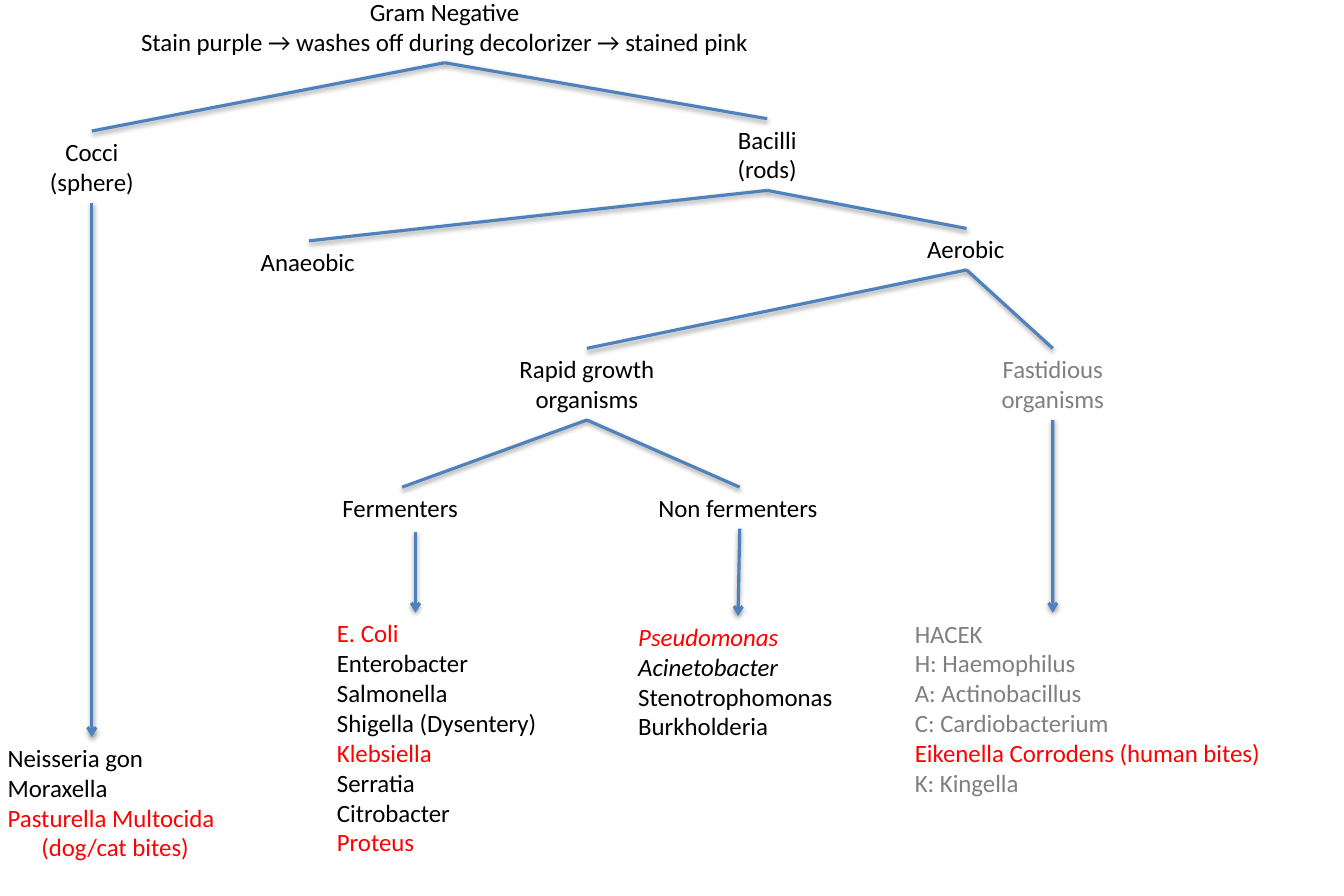
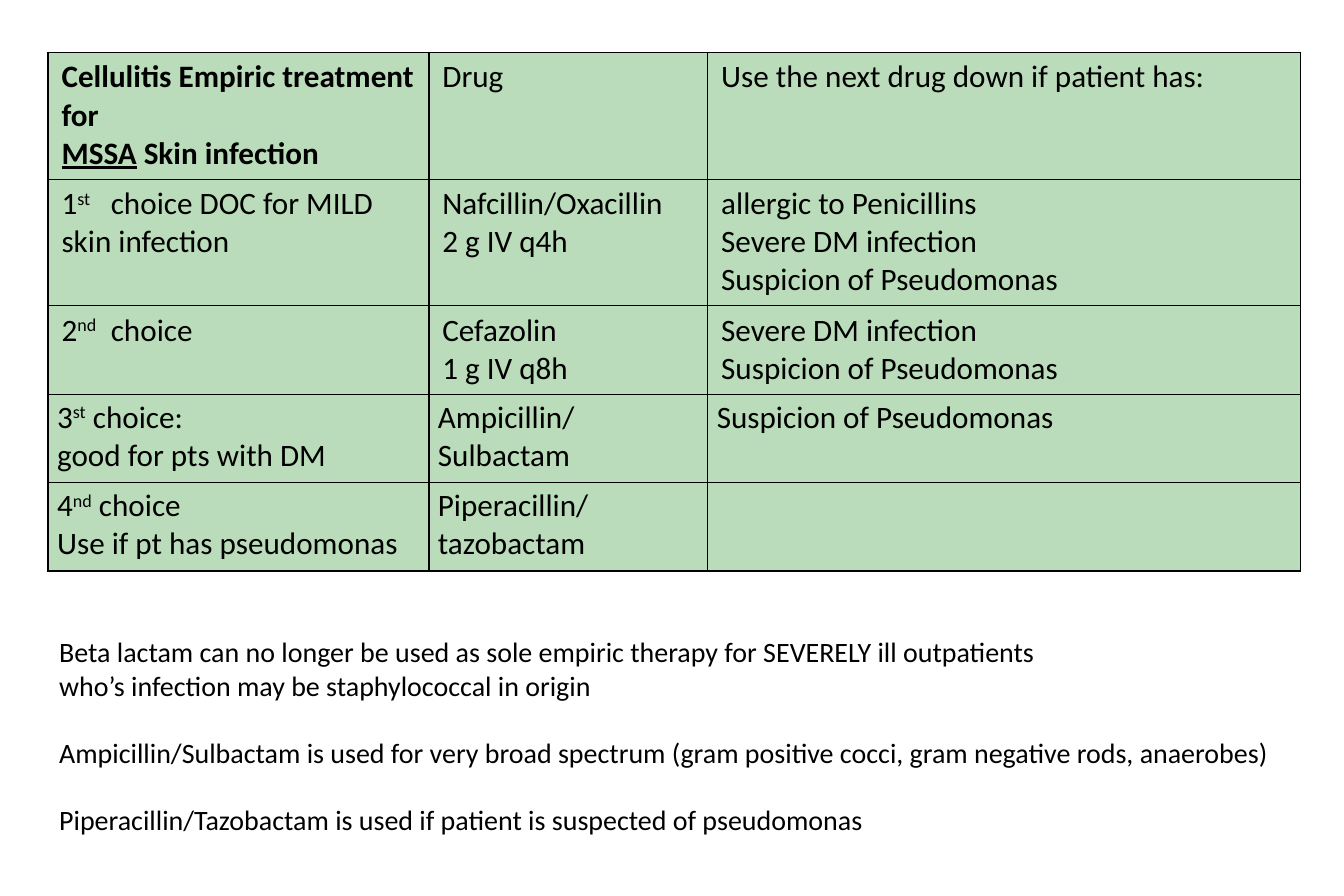
from dataclasses import dataclass

from lxml import etree
from pptx import Presentation
from pptx.dml.color import RGBColor
from pptx.enum import shapes, text
from pptx.oxml import ns
from pptx.util import Inches, Pt


@dataclass(frozen=True)
class Theme:
    font: str = "Calibri"
    ink: str = "000000"
    muted: str = "808080"
    alert: str = "FF0000"
    line: str = "4F81BD"
    cell: str = "008000"
    cell_alpha: int = 27000
    tree_size: int = 16
    table_size: int = 20
    note_size: int = 18


theme = Theme()


def add_xml(parent, tag, index=None, **attributes):
    element = etree.Element(ns.qn(tag), attributes)
    parent.insert(len(parent) if index is None else index, element)
    return element


def style(span, size, color=theme.ink):
    span.font.name = theme.font
    span.font.size = Pt(size)
    span.font.color.rgb = RGBColor.from_string(color)


deck = Presentation()
deck.slide_width, deck.slide_height = Inches(12), Inches(8)
blank = deck.slide_layouts[6]

page = deck.slides.add_slide(blank)
center, left = text.PP_ALIGN.CENTER, text.PP_ALIGN.LEFT
nodes = {
    "gram": (1.1, -0.08, 5.74, center, theme.ink,
             ["Gram Negative", "Stain purple → washes off during decolorizer → stained pink"]),
    "cocci": (0.34, 1.17, 0.96, center, theme.ink, ["Cocci", "(sphere)"]),
    "cocci list": (-0.03, 6.58, 2.08, left, theme.ink,
                   ["Neisseria gon", "Moraxella", "Pasturella Multocida", "(dog/cat bites)"]),
    "bacilli": (6.48, 1.06, 0.74, center, theme.ink, ["Bacilli", "(rods)"]),
    "anaerobic": (2.23, 2.15, 1.06, left, theme.ink, ["Anaeobic"]),
    "aerobic": (8.18, 2.04, 0.9, left, theme.ink, ["Aerobic"]),
    "fastidious": (8.83, 3.11, 1.14, center, theme.muted, ["Fastidious", "organisms"]),
    "fastidious list": (8.07, 5.47, 3.34, left, theme.muted,
                        ["HACEK", "H: Haemophilus", "A: Actinobacillus", "C: Cardiobacterium",
                         "Eikenella Corrodens (human bites)", "K: Kingella"]),
    "rapid": (4.53, 3.11, 1.42, center, theme.ink, ["Rapid growth", "organisms"]),
    "fermenters": (2.96, 4.35, 1.26, left, theme.ink, ["Fermenters"]),
    "non fermenters": (5.78, 4.35, 1.65, left, theme.ink, ["Non fermenters"]),
    "fermenter list": (2.91, 5.47, 2.01, left, theme.ink,
                       ["E. Coli", "Enterobacter", "Salmonella", "Shigella (Dysentery)",
                        "Klebsiella", "Serratia", "Citrobacter", "Proteus"]),
    "non fermenter list": (5.6, 5.5, 1.98, left, theme.ink,
                           ["Pseudomonas", "Acinetobacter", "Stenotrophomonas", "Burkholderia"]),
}
alerts = {"Pasturella Multocida", "(dog/cat bites)", "Eikenella Corrodens (human bites)",
          "E. Coli", "Klebsiella", "Proteus", "Pseudomonas"}
italics = {"Pseudomonas", "Acinetobacter"}
indents = {"(dog/cat bites)": "274320"}

boxes = {}
for name, (x, y, width, align, color, lines) in nodes.items():
    height = 0.1 + 0.27 * len(lines)
    box = page.shapes.add_textbox(Inches(x), Inches(y), Inches(width), Inches(height))
    box.text_frame.text = "\n".join(lines)
    box.text_frame.word_wrap = False
    box.text_frame.auto_size = text.MSO_AUTO_SIZE.SHAPE_TO_FIT_TEXT
    for para, line in zip(box.text_frame.paragraphs, lines):
        para.alignment = align
        if line in indents:
            para._p.get_or_add_pPr().set("marL", indents[line])
        span = para.runs[0]
        style(span, theme.tree_size, theme.alert if line in alerts else color)
        span.font.italic = line in italics
    boxes[name] = box

branches = [
    ("gram", "cocci", None, False),
    ("gram", "bacilli", None, False),
    ("cocci", None, (0.82, 1.81, 0.82, 6.58), True),
    ("bacilli", "anaerobic", None, False),
    ("bacilli", "aerobic", None, False),
    ("aerobic", "rapid", None, False),
    ("aerobic", "fastidious", None, False),
    ("fastidious", None, (9.4, 3.75, 9.4, 5.47), True),
    ("rapid", "fermenters", None, False),
    ("rapid", "non fermenters", None, False),
    (None, None, (3.71, 4.75, 3.71, 5.47), True),
    ("non fermenters", "non fermenter list", None, True),
]
for parent, child, ends, arrow in branches:
    branch = page.shapes.add_connector(
        shapes.MSO_CONNECTOR.STRAIGHT, *[Inches(value) for value in ends or (0, 0, 1, 1)])
    if parent:
        branch.begin_connect(boxes[parent], 2)
    if child:
        branch.end_connect(boxes[child], 0)
    branch.line.color.rgb = RGBColor.from_string(theme.line)
    branch.line.width = Pt(2)
    if arrow:
        add_xml(branch.line._get_or_add_ln(), "a:tailEnd", type="arrow")
    effects = add_xml(branch._element.spPr, "a:effectLst")
    shadow = add_xml(effects, "a:outerShdw", blurRad="40000", dist="20000",
                     dir="5400000", rotWithShape="0")
    shade = add_xml(shadow, "a:srgbClr", val=theme.ink)
    add_xml(shade, "a:alpha", val="38000")

page = deck.slides.add_slide(blank)
columns = [3.4, 2.49, 5.29]
heights = [1.13, 1.13, 0.79, 0.79, 0.79]
treatments = [
    ([[("Cellulitis Empiric treatment for", "b")], [("MSSA", "bu"), (" Skin infection", "b")]],
     [[("Drug", "")]],
     [[("Use the next drug down if patient has:", "")]]),
    ([[("1", ""), ("st", "^"), ("\tchoice DOC for MILD skin infection", "")]],
     [[("Nafcillin/Oxacillin", "")], [("2 g IV q4h", "")]],
     [[("allergic to Penicillins", "")], [("Severe DM infection", "")],
      [("Suspicion of Pseudomonas", "")]]),
    ([[("2", ""), ("nd", "^"), ("\tchoice", "")]],
     [[("Cefazolin", "")], [("1 g IV q8h", "")]],
     [[("Severe DM infection", "")], [("Suspicion of Pseudomonas", "")]]),
    ([[("3", ""), ("st", "^"), (" choice:", "")], [("good for pts with DM", "")]],
     [[("Ampicillin/Sulbactam", "")]],
     [[("Suspicion of Pseudomonas", "")]]),
    ([[("4", ""), ("nd", "^"), (" choice", "")], [("Use if pt has pseudomonas", "")]],
     [[("Piperacillin/tazobactam", "")]],
     []),
]
table = page.shapes.add_table(
    len(heights), len(columns), Inches(0.43), Inches(0.47),
    Inches(sum(columns)), Inches(sum(heights))).table
for column, width in zip(table.columns, columns):
    column.width = Inches(width)
for row_index, (row, height, contents) in enumerate(zip(table.rows, heights, treatments)):
    row.height = Inches(height)
    side, edge = (0.12, 0.05) if row_index < 3 else (0.08, 0.04)
    for cell, lines in zip(row.cells, contents):
        cell.margin_left = cell.margin_right = Inches(side)
        cell.margin_top = cell.margin_bottom = Inches(edge)
        cell.fill.solid()
        cell.fill.fore_color.rgb = RGBColor.from_string(theme.cell)
        properties = cell._tc.get_or_add_tcPr()
        add_xml(properties.find(".//" + ns.qn("a:srgbClr")), "a:alpha", val=str(theme.cell_alpha))
        for position, border_tag in enumerate(("a:lnL", "a:lnR", "a:lnT", "a:lnB")):
            border = add_xml(properties, border_tag, position, w="12700")
            add_xml(add_xml(border, "a:solidFill"), "a:srgbClr", val=theme.ink)
        for line_index, line in enumerate(lines):
            para = cell.text_frame.paragraphs[0] if line_index == 0 else cell.text_frame.add_paragraph()
            if any("\t" in words for words, marks in line):
                tabs = add_xml(para._p.get_or_add_pPr(), "a:tabLst")
                add_xml(tabs, "a:tab", pos=str(Inches(0.44)), algn="l")
            for words, marks in line:
                span = para.add_run()
                span.text = words
                style(span, theme.table_size)
                span.font.bold = "b" in marks
                span.font.underline = "u" in marks
                if "^" in marks:
                    span._r.get_or_add_rPr().set("baseline", "30000")

notes = [
    "Beta lactam can no longer be used as sole empiric therapy for SEVERELY ill outpatients",
    "who’s infection may be staphylococcal in origin",
    "Ampicillin/Sulbactam is used for very broad spectrum "
    "(gram positive cocci, gram negative rods, anaerobes)",
    "Piperacillin/Tazobactam is used if patient is suspected of pseudomonas",
]
box = page.shapes.add_textbox(Inches(0.43), Inches(5.62), Inches(11.18), Inches(1.92))
box.text_frame.word_wrap = True
box.text_frame.auto_size = text.MSO_AUTO_SIZE.SHAPE_TO_FIT_TEXT
box.text_frame.text = "\n".join(notes)
for index, para in enumerate(box.text_frame.paragraphs):
    para.space_before = Pt(21.6 if index > 1 else 0)
    style(para.runs[0], theme.note_size)

deck.save("out.pptx")
